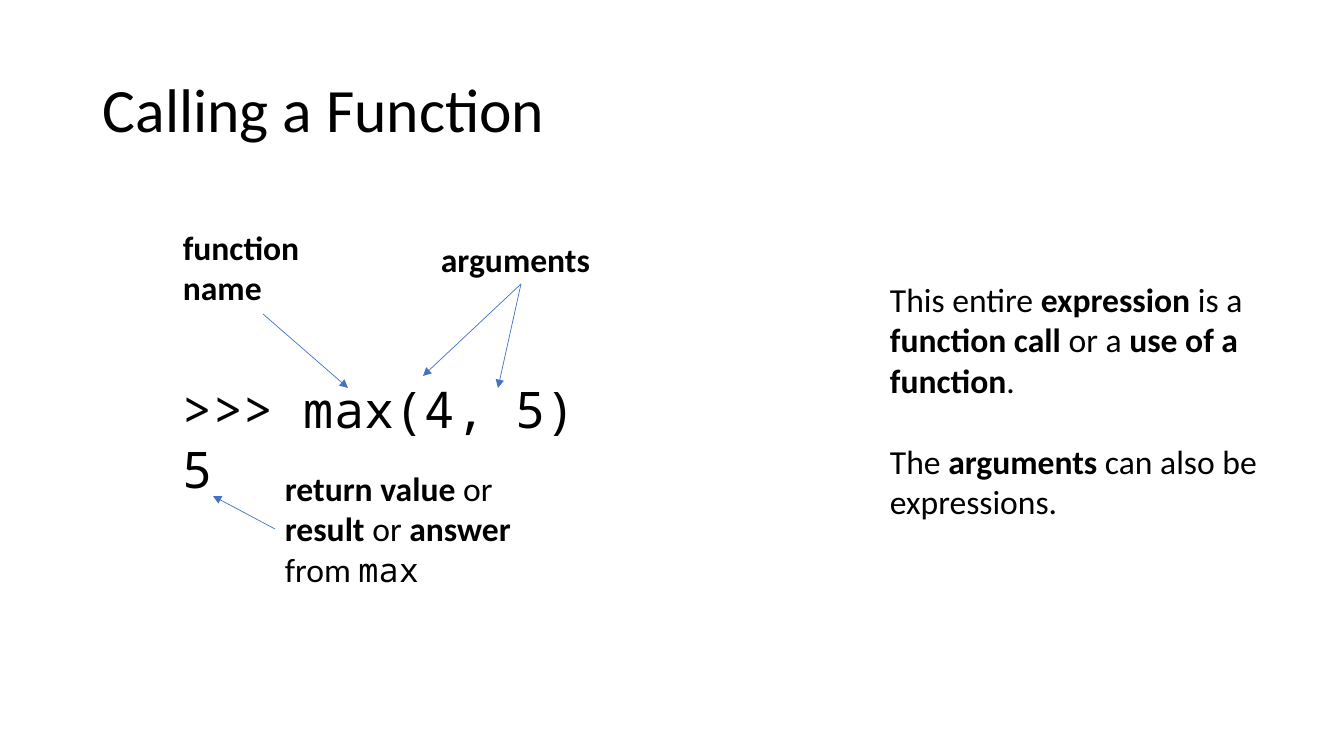
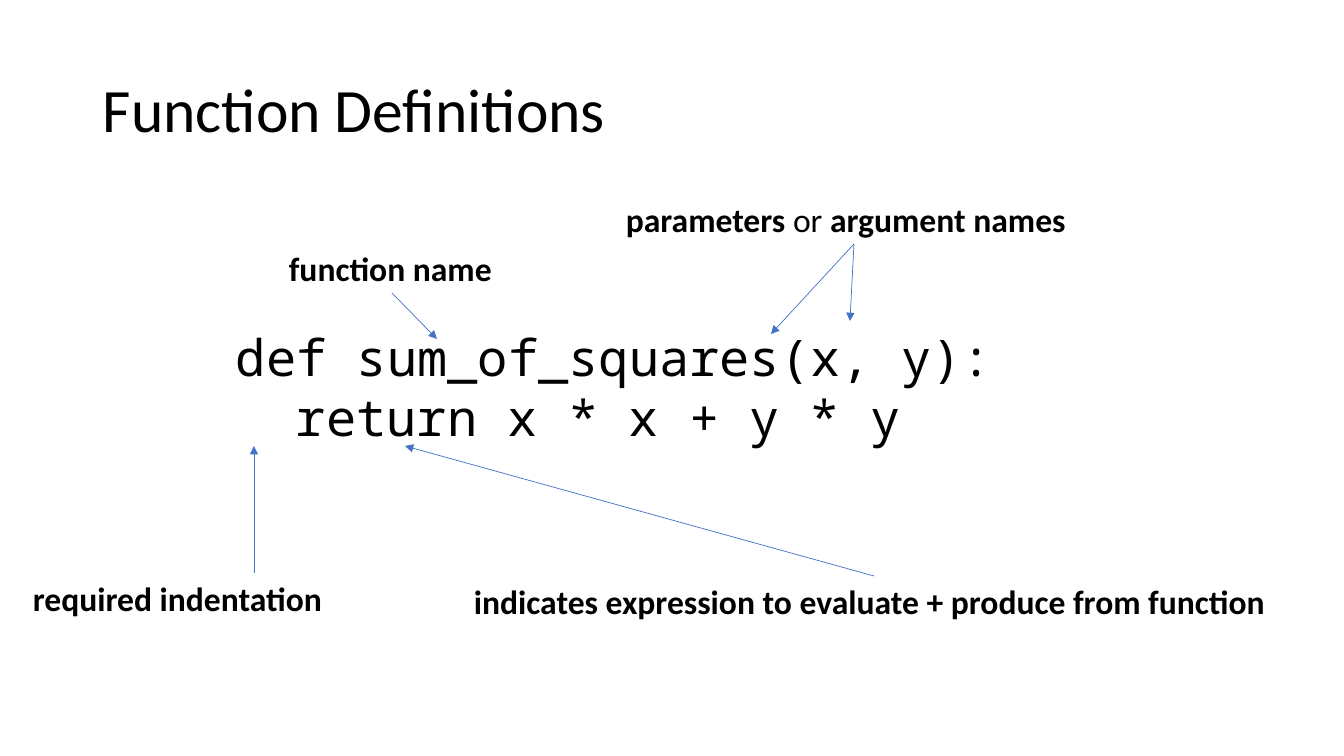
from lxml.etree import SubElement
from pptx import Presentation
from pptx.dml.color import RGBColor
from pptx.enum.shapes import MSO_CONNECTOR
from pptx.enum.text import MSO_ANCHOR
from pptx.oxml.ns import qn
from pptx.util import Emu, Pt

PIXEL = 914400 / 100.8
SLIDE_WIDTH, SLIDE_HEIGHT = 1344, 756
BLACK = RGBColor(0x00, 0x00, 0x00)
BLUE = RGBColor(0x44, 0x72, 0xC4)
SANS, MONO = "Calibri", "Noto Sans Mono"
TITLE_SIZE, CODE_SIZE, LABEL_SIZE = 44, 36, 24
TITLE_BOX = (93, 40, 1159, 146)
BLANK_LINE = 29
CODE_INDENT = 60
TOP, BOTTOM, LEFT = (0.5, 0), (0.5, 1), (0, 0.5)


def pixels(length):
    return Emu(round(length * PIXEL))


def plain(text):
    return text, SANS, False


def bold(text):
    return text, SANS, True


def code(text):
    return text, MONO, False


def add_text(slide, box, paragraphs, size):
    shape = slide.shapes.add_textbox(*map(pixels, box))
    frame = shape.text_frame
    frame.word_wrap = True
    for index, runs in enumerate(paragraphs):
        paragraph = frame.add_paragraph() if index else frame.paragraphs[0]
        for text, font_name, is_bold in runs:
            run = paragraph.add_run()
            run.text = text
            run.font.name = font_name
            run.font.size = Pt(size)
            run.font.bold = is_bold
            run.font.color.rgb = BLACK
    return frame


def add_arrow(slide, start, end):
    arrow = slide.shapes.add_connector(
        MSO_CONNECTOR.STRAIGHT, *map(pixels, (*start, *end)))
    arrow.line.color.rgb = BLUE
    arrow.line.width = Pt(0.5)
    SubElement(arrow.line._get_or_add_ln(), qn("a:tailEnd"), type="triangle")
    SubElement(arrow._element.spPr, qn("a:effectLst"))


def add_title(slide, box, text):
    frame = add_text(slide, box, [[plain(text)]], TITLE_SIZE)
    frame.vertical_anchor = MSO_ANCHOR.MIDDLE
    frame.paragraphs[0].line_spacing = 0.9


def add_code(slide, box, lines):
    return add_text(slide, box, [[code(line)] for line in lines], CODE_SIZE)


def add_annotation(slide, origin, box, runs, anchor, targets):
    x, y = origin
    left, top, width, height = box
    add_text(slide, (x + left, y + top, width, height), [runs], LABEL_SIZE)
    start = (x + left + round(anchor[0] * width), y + top + round(anchor[1] * height))
    for target_left, target_top in targets:
        add_arrow(slide, start, (x + target_left, y + target_top))


def add_call_diagram(slide, left, top):
    add_code(slide, (left, top + 151, 495, 132), [">>> max(4, 5)", "5"])
    return_runs = [bold("return value"), plain(" or "), bold("result"), plain(" or "),
                   bold("answer"), plain(" from "), code("max")]
    for annotation in (
        ((258, 12, 180, 50), [bold("arguments")], BOTTOM, [(250, 154), (325, 166)]),
        ((0, 0, 180, 92), [bold("function name")], BOTTOM, [(175, 166)]),
        ((102, 241, 265, 132), return_runs, LEFT, [(40, 274)]),
    ):
        add_annotation(slide, (left, top), *annotation)


def add_explanation(slide, box):
    frame = add_text(slide, box, [
        [plain("This entire "), bold("expression"), plain(" is a "),
         bold("function call "), plain("or a"), bold(" use of a function"), plain(".")],
        [plain("The "), bold("arguments"), plain(" can also be expressions.")],
    ], LABEL_SIZE)
    frame.paragraphs[1].space_before = Pt(BLANK_LINE)


def add_definition_diagram(slide, left, top):
    frame = add_code(slide, (left + 203, top + 127, 779, 132),
                     ["def sum_of_squares(x, y):", "return x * x + y * y"])
    properties = frame.paragraphs[1]._p.get_or_add_pPr()
    properties.set("marL", str(pixels(CODE_INDENT)))
    parameter_runs = [bold("parameters "), plain("or "), bold("argument names")]
    return_runs = [bold("indicates expression to evaluate + produce from function")]
    for annotation in (
        ((256, 49, 226, 50), [bold("function name")], BOTTOM, [(414, 145)]),
        ((593, 0, 475, 50), parameter_runs, BOTTOM, [(748, 140), (827, 127)]),
        ((441, 382, 820, 50), return_runs, TOP, [(382, 252)]),
        ((0, 379, 312, 50), [bold("required indentation")], (0.74, 0), [(231, 252)]),
    ):
        add_annotation(slide, (left, top), *annotation)


def add_slide(presentation, title):
    slide = presentation.slides.add_slide(presentation.slide_layouts[6])
    add_title(slide, TITLE_BOX, title)
    return slide


presentation = Presentation()
presentation.slide_width = pixels(SLIDE_WIDTH)
presentation.slide_height = pixels(SLIDE_HEIGHT)

calling = add_slide(presentation, "Calling a Function")
add_call_diagram(calling, 173, 222)
add_explanation(calling, (880, 274, 405, 254))

definitions = add_slide(presentation, "Function Definitions")
add_definition_diagram(definitions, 23, 194)

presentation.save("out.pptx")
